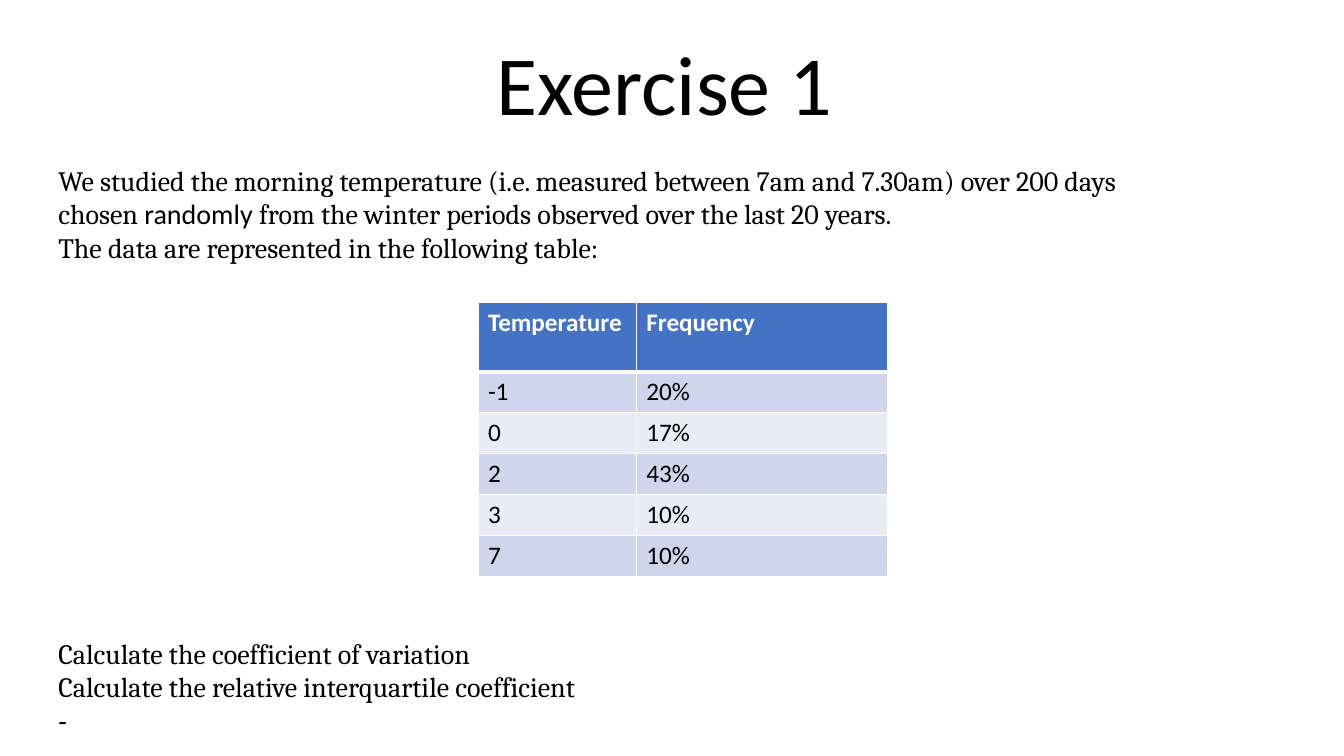
from dataclasses import dataclass

from lxml.etree import SubElement
from pptx import Presentation
from pptx.dml.color import RGBColor
from pptx.enum.text import MSO_ANCHOR, PP_ALIGN
from pptx.oxml.ns import qn
from pptx.util import Inches, Pt

BLACK = RGBColor(0x00, 0x00, 0x00)
WHITE = RGBColor(0xFF, 0xFF, 0xFF)
BLUE = RGBColor(0x44, 0x72, 0xC4)
BANDS = (RGBColor(0xCF, 0xD5, 0xEA), RGBColor(0xE9, 0xEB, 0xF5))

WIDE, HIGH = Inches(13.33), Inches(7.5)

TITLE = {"name": "Calibri", "size": Pt(60)}
BODY = {"name": "Cambria", "size": Pt(20)}
PLAIN = {"name": "Calibri", "size": Pt(20)}
CELL = {"name": "Calibri", "size": Pt(18), "bold": False}
HEAD = CELL | {"bold": True}

COLS = (11.78, 18.68)
HEAD_ROW, DATA_ROW = 9.17, 5.42
ROWS = (
    ("Temperature", "Frequency"),
    ("-1", "20%"),
    ("0", "17%"),
    ("2", "43%"),
    ("3", "10%"),
    ("7", "10%"),
)


@dataclass
class Run:
    text: str
    look: dict


@dataclass
class Block:
    """A text box placed by percentages of the slide's size."""
    left: float
    top: float
    width: float
    height: float
    lines: list[list[Run]]
    frame: dict
    para: dict


BLOCKS = (
    Block(11.93, 0.4, 75.02, 18, [[Run("Exercise 1", TITLE)]],
          {"vertical_anchor": MSO_ANCHOR.BOTTOM},
          {"alignment": PP_ALIGN.CENTER, "line_spacing": 0.9}),
    Block(3.6, 20.93, 82.37, 14.67, [
        [Run("We studied the morning temperature (i.e. measured between "
             "7am and 7.30am) over 200 days chosen ", BODY),
         Run("randomly ", PLAIN),
         Run("from the winter periods observed over the last 20 years.", BODY)],
        [Run("The data are represented in the following table:", BODY)],
    ], {}, {}),
    Block(3.6, 83.47, 82.37, 14.67, [
        [Run("Calculate the coefficient of variation", BODY)],
        [Run("Calculate the relative interquartile coefficient", BODY)],
        [Run("-", PLAIN)],
    ], {}, {}),
)


def across(share: float) -> int:
    return round(WIDE * share / 100)


def down(share: float) -> int:
    return round(HIGH * share / 100)


def apply(item, look: dict) -> None:
    for key, value in look.items():
        setattr(item, key, value)


def add_run(para, run: Run, color: RGBColor) -> None:
    part = para.add_run()
    part.text = run.text
    apply(part.font, run.look)
    part.font.color.rgb = color


def add_block(slide, block: Block) -> None:
    box = slide.shapes.add_textbox(across(block.left), down(block.top),
                                   across(block.width), down(block.height))
    frame = box.text_frame
    apply(frame, {"word_wrap": True} | block.frame)
    for i, line in enumerate(block.lines):
        para = frame.add_paragraph() if i else frame.paragraphs[0]
        apply(para, block.para)
        for run in line:
            add_run(para, run, BLACK)


def add_edges(cell, base: int) -> None:
    """Draw white cell borders; base is the bottom width in points."""
    props = cell._tc.get_or_add_tcPr()
    for side, width in (("L", 1), ("R", 1), ("T", 1), ("B", base)):
        line = SubElement(props, qn(f"a:ln{side}"), w=str(Pt(width)))
        fill = SubElement(line, qn("a:solidFill"))
        SubElement(fill, qn("a:srgbClr"), val=str(WHITE))


def add_grid(slide) -> None:
    highs = [HEAD_ROW] + [DATA_ROW] * (len(ROWS) - 1)
    table = slide.shapes.add_table(
        len(ROWS), len(COLS), across(35.56), down(40),
        across(sum(COLS)), down(sum(highs))).table
    for col, width in zip(table.columns, COLS):
        col.width = across(width)
    for r, (row, high, texts) in enumerate(zip(table.rows, highs, ROWS)):
        row.height = down(high)
        for cell, text in zip(row.cells, texts):
            # The header's rule and the row below share one thick edge.
            add_edges(cell, 1 if r else 3)
            cell.fill.solid()
            cell.fill.fore_color.rgb = BANDS[(r - 1) % 2] if r else BLUE
            add_run(cell.text_frame.paragraphs[0],
                    Run(text, CELL if r else HEAD), BLACK if r else WHITE)


def main() -> None:
    deck = Presentation()
    apply(deck, {"slide_width": WIDE, "slide_height": HIGH})
    slide = deck.slides.add_slide(deck.slide_layouts[6])
    for block in BLOCKS:
        add_block(slide, block)
    add_grid(slide)
    deck.save("out.pptx")


if __name__ == "__main__":
    main()
